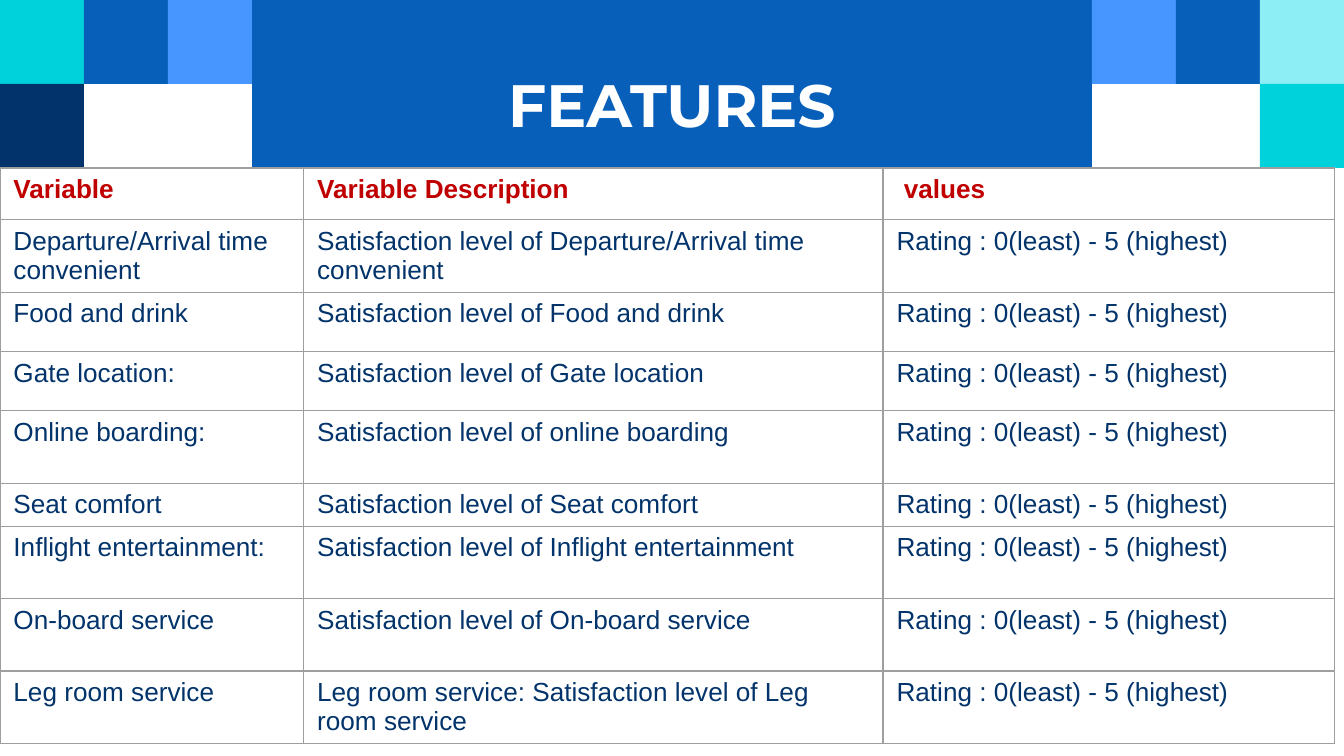
from lxml import etree
from pptx import Presentation
from pptx.dml.color import RGBColor
from pptx.enum.shapes import MSO_SHAPE
from pptx.enum.text import MSO_ANCHOR, MSO_AUTO_SIZE, PP_ALIGN
from pptx.oxml.ns import qn
from pptx.util import Cm, Pt

RECT = MSO_SHAPE.RECTANGLE
MIDDLE = MSO_ANCHOR.MIDDLE
TOP = MSO_ANCHOR.TOP
NO_FIT = MSO_AUTO_SIZE.NONE
CENTER = PP_ALIGN.CENTER
LEFT = PP_ALIGN.LEFT

HUES = {
    "white": "FFFFFF", "blue": "085FBA", "sky": "4796FF", "navy": "02336A",
    "teal": "00D2DC", "pale": "8DEEF5", "red": "C00000", "gray": "9E9E9E",
}
WIDTH, HEIGHT = Cm(25.4), Cm(14.29)
TILE = WIDTH / 16

# Column and row on the tile grid, then colour
TILES = [
    (0, 0, "teal"), (1, 0, "blue"), (2, 0, "sky"), (0, 1, "navy"),
    (13, 0, "sky"), (14, 0, "blue"), (15, 0, "pale"), (15, 1, "teal"),
]

LEVEL = "Satisfaction level of "
RATING = "Rating : 0(least) - 5 (highest)"
HEAD = ("Variable", "Variable Description", " values")
TALL, MID, LOW = 1.37, 1.12, 0.81
# Variable, description, row height in cm
ITEMS = [
    ("Departure/Arrival time convenient",
     LEVEL + "Departure/Arrival time convenient", TALL),
    ("Food and drink", LEVEL + "Food and drink", MID),
    ("Gate location:", LEVEL + "Gate location", MID),
    ("Online boarding:", LEVEL + "online boarding", TALL),
    ("Seat comfort", LEVEL + "Seat comfort", LOW),
    ("Inflight entertainment:", LEVEL + "Inflight entertainment", TALL),
    ("On-board service", LEVEL + "On-board service", TALL),
    ("Leg room service",
     "Leg room service: " + LEVEL + "Leg room service", TALL),
]
COLS = [5.74, 10.95, 8.53]


def paint(shape, hue):
    shape.fill.solid()
    shape.fill.fore_color.rgb = RGBColor.from_string(HUES[hue])


def write(frame, text, size=14, font="Arial", hue="navy", bold=False, align=LEFT):
    para = frame.paragraphs[0]
    para.alignment = align
    run = para.add_run()
    run.text = text
    run.font.size = Pt(size)
    run.font.name = font
    run.font.bold = bold
    run.font.color.rgb = RGBColor.from_string(HUES[hue])


def frame_cell(cell, hue, width):
    """Draw a line on all four sides of a table cell."""
    props = cell._tc.get_or_add_tcPr()
    for spot, side in enumerate(("a:lnL", "a:lnR", "a:lnT", "a:lnB")):
        line = etree.Element(qn(side), w=str(Pt(width)))
        fill = etree.SubElement(line, qn("a:solidFill"))
        etree.SubElement(fill, qn("a:srgbClr"), val=HUES[hue])
        props.insert(spot, line)


class Deck:
    def __init__(self):
        self.file = Presentation()
        self.file.slide_width, self.file.slide_height = WIDTH, HEIGHT
        self.slide = self.file.slides.add_slide(self.file.slide_layouts[5])

    def tile(self, col, row, hue):
        left, top = round(col * TILE), round(row * TILE)
        shape = self.slide.shapes.add_shape(RECT, left, top, round(TILE), round(TILE))
        shape.shadow.inherit = False
        shape.line.fill.background()
        paint(shape, hue)

    def title(self, text):
        shape = self.slide.shapes.title
        shape.left, shape.top = round(3 * TILE), 0
        shape.width, shape.height = round(10 * TILE), round(2 * TILE)
        paint(shape, "blue")
        frame = shape.text_frame
        frame.auto_size = NO_FIT
        frame.word_wrap = True
        frame.vertical_anchor = MIDDLE
        frame.margin_left = frame.margin_right = Cm(0.25)
        frame.margin_top, frame.margin_bottom = Cm(0.76), 0
        write(frame, text, size=32, font="Montserrat", hue="white",
              bold=True, align=CENTER)

    def table(self, rows, highs):
        grid = self.slide.shapes.add_table(
            len(rows), len(COLS), 0, round(2 * TILE),
            Cm(sum(COLS)), Cm(sum(highs))).table
        grid.first_row = grid.horz_banding = False
        for col, wide in zip(grid.columns, COLS):
            col.width = Cm(wide)
        for r, (row, high) in enumerate(zip(rows, highs)):
            grid.rows[r].height = Cm(high)
            style = {"hue": "red", "bold": True} if r == 0 else {}
            for c, text in enumerate(row):
                cell = grid.cell(r, c)
                cell.vertical_anchor = TOP
                paint(cell, "white")
                frame_cell(cell, "gray", 0.75)
                write(cell.text_frame, text, **style)


def main():
    deck = Deck()
    for spot in TILES:
        deck.tile(*spot)
    deck.title("FEATURES")
    rows = [HEAD] + [(name, about, RATING) for name, about, _ in ITEMS]
    deck.table(rows, [0.98] + [high for _, _, high in ITEMS])
    deck.file.save("out.pptx")


if __name__ == "__main__":
    main()
